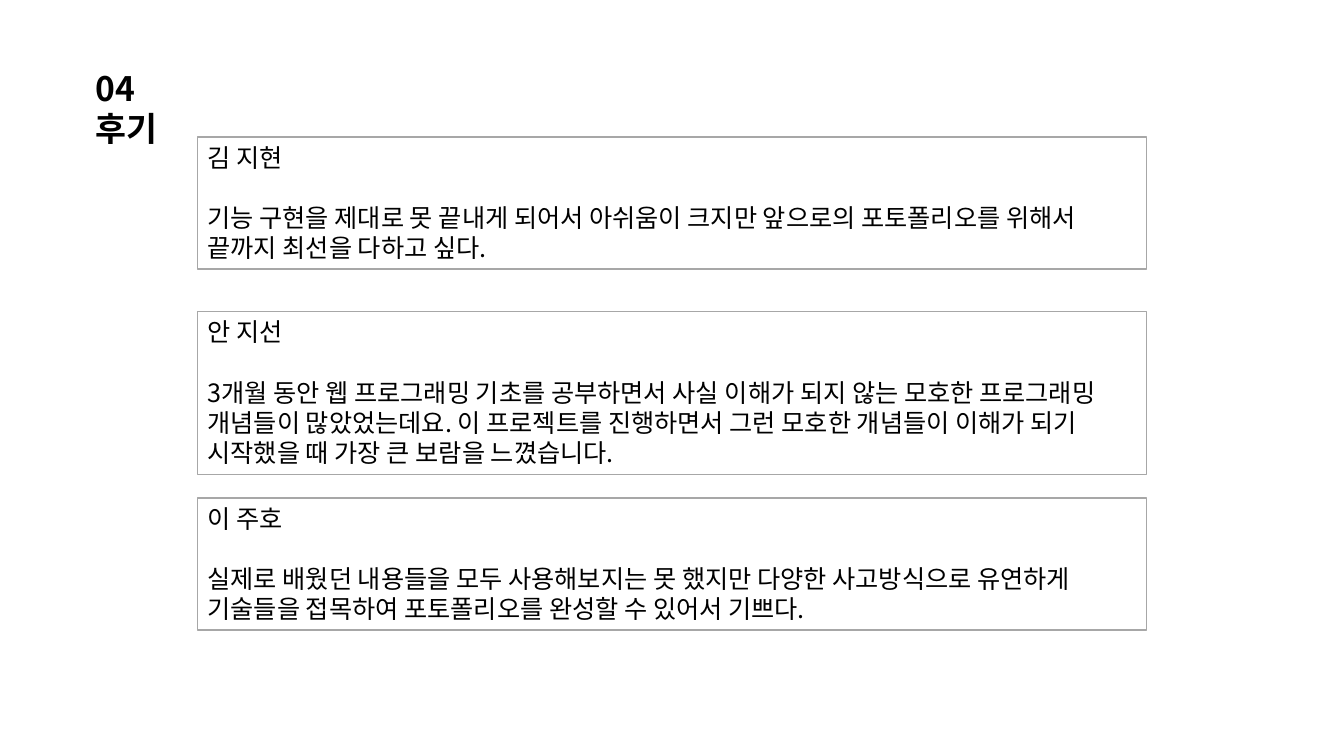
from lxml import etree
from pptx import Presentation
from pptx.dml.color import RGBColor
from pptx.enum.shapes import MSO_SHAPE
from pptx.enum.text import MSO_ANCHOR, MSO_AUTO_SIZE, PP_ALIGN
from pptx.oxml.ns import qn
from pptx.util import Emu, Pt

RECTANGLE = MSO_SHAPE.RECTANGLE
TOP = MSO_ANCHOR.TOP
LEFT = PP_ALIGN.LEFT
NO_AUTOFIT = MSO_AUTO_SIZE.NONE

EMU_PER_PX = 9144  # 100 px to the inch
TITLE_ONLY = 5

REVIEWS = [
    (136, 131, "김 지현",
     "기능 구현을 제대로 못 끝내게 되어서 아쉬움이 크지만 앞으로의 포토폴리오를 위해서 "
     "끝까지 최선을 다하고 싶다."),
    (309, 162, "안 지선",
     "3개월 동안 웹 프로그래밍 기초를 공부하면서 사실 이해가 되지 않는 모호한 프로그래밍 "
     "개념들이 많았었는데요. 이 프로젝트를 진행하면서 그런 모호한 개념들이 이해가 되기 "
     "시작했을 때 가장 큰 보람을 느꼈습니다."),
    (494, 131, "이 주호",
     "실제로 배웠던 내용들을 모두 사용해보지는 못 했지만 다양한 사고방식으로 유연하게 "
     "기술들을 접목하여 포토폴리오를 완성할 수 있어서 기쁘다."),
]


def px(length):
    return Emu(length * EMU_PER_PX)


def color(hex_string):
    return RGBColor.from_string(hex_string)


class ReviewSlide:
    font_name = "Noto Sans CJK KR"
    text_color = "000000"
    border_color = "A7A7A7"
    title_size = 24
    body_size = 18
    line_pitch = 1.2

    def __init__(self, presentation):
        layout = presentation.slide_layouts[TITLE_ONLY]
        self.slide = presentation.slides.add_slide(layout)

    def format_paragraph(self, paragraph, size, bold=False):
        paragraph.alignment = LEFT
        paragraph.line_spacing = Pt(size * self.line_pitch)
        font = paragraph.font
        font.size = Pt(size)
        font.bold = bold
        font.color.rgb = color(self.text_color)
        font.name = self.font_name
        # Hangul takes its typeface from the East Asian font slot.
        defaults = paragraph._p.pPr.find(qn("a:defRPr"))
        etree.SubElement(defaults, qn("a:ea"), typeface=self.font_name)

    def title(self, text, left, top, width, height):
        title = self.slide.shapes.title
        title.left, title.top = px(left), px(top)
        title.width, title.height = px(width), px(height)
        frame = title.text_frame
        frame.auto_size = NO_AUTOFIT
        frame.word_wrap = True
        frame.vertical_anchor = TOP
        frame.margin_left = frame.margin_right = px(5)
        frame.margin_top = frame.margin_bottom = px(5)
        frame.text = text
        self.format_paragraph(frame.paragraphs[0], self.title_size, bold=True)

    def review(self, name, comment, left, top, width, height):
        """Add an outlined box with a name and, one line lower, a comment."""
        box = self.slide.shapes.add_shape(
            RECTANGLE, px(left), px(top), px(width), px(height))
        box.shadow.inherit = False
        box.fill.background()
        box.line.color.rgb = color(self.border_color)
        box.line.width = Pt(1)
        frame = box.text_frame
        frame.word_wrap = True
        frame.vertical_anchor = TOP
        frame.text = f"{name}\n{comment}"
        for paragraph in frame.paragraphs:
            self.format_paragraph(paragraph, self.body_size)
        frame.paragraphs[0].space_after = Pt(self.body_size * self.line_pitch)


def main():
    presentation = Presentation()
    presentation.slide_width, presentation.slide_height = px(1333), px(750)
    slide = ReviewSlide(presentation)
    slide.title("04\v후기", 90, 62, 124, 90)
    for top, height, name, comment in REVIEWS:
        slide.review(name, comment, 196, top, 941, height)
    presentation.save("out.pptx")


if __name__ == "__main__":
    main()
